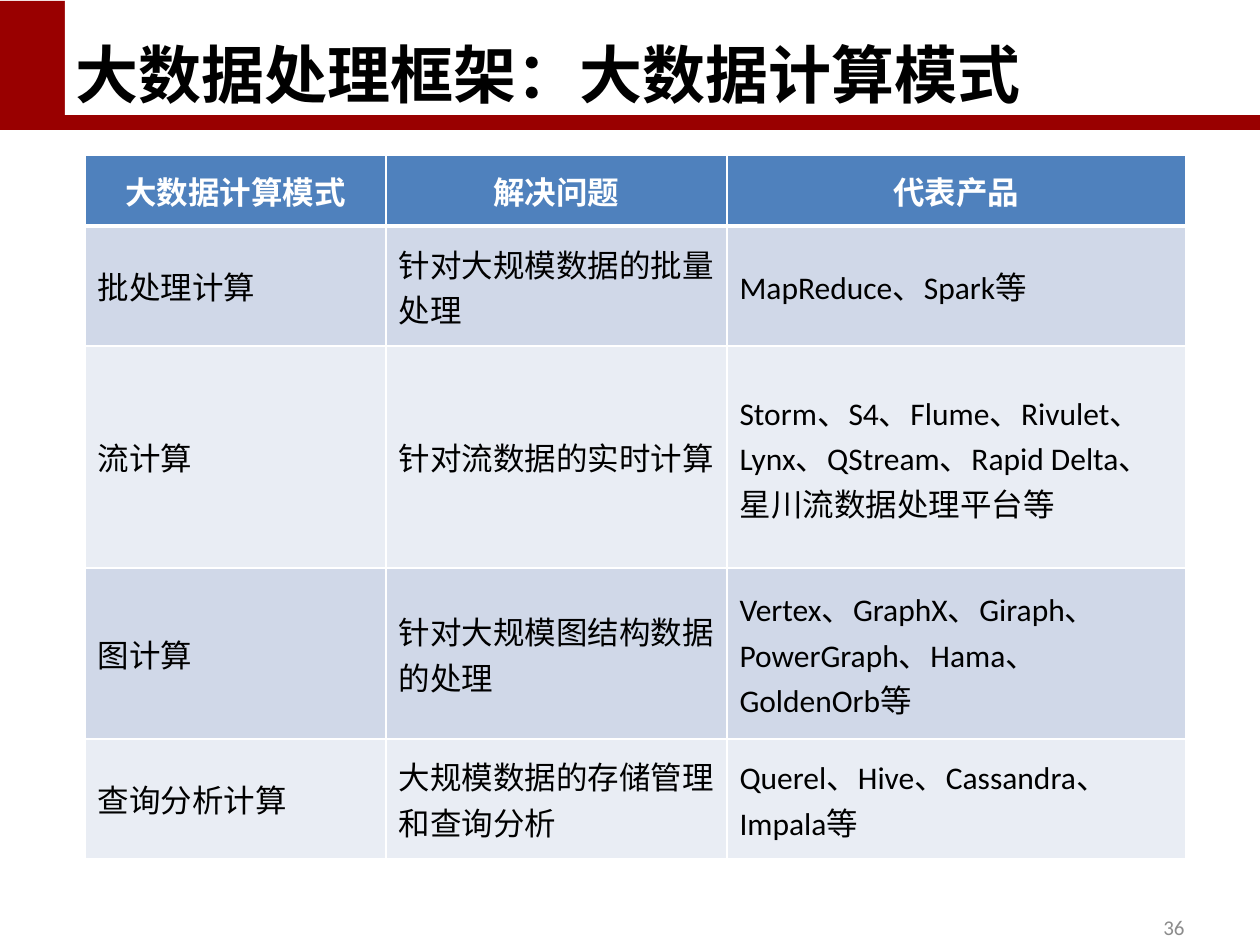
from lxml import etree
from pptx import Presentation
from pptx import util as u
from pptx.dml.color import RGBColor
from pptx.enum import lang, shapes, text
from pptx.oxml.ns import qn

PX = u.Inches(1) / 126
FONT = "Calibri"
RED = RGBColor(0x99, 0x00, 0x00)
WHITE = RGBColor(0xFF, 0xFF, 0xFF)
BLACK = RGBColor(0x00, 0x00, 0x00)
GREY = RGBColor(0x8C, 0x8C, 0x8C)
HEADER_BLUE = RGBColor(0x4F, 0x81, 0xBD)
BANDS = [RGBColor(0xD0, 0xD8, 0xE8), RGBColor(0xE9, 0xED, 0xF4)]

COLUMN_WIDTHS = [301, 341, 459]
ROW_HEIGHTS = [71, 120, 222, 171, 120]
ROWS = [
    ["大数据计算模式", "解决问题", "代表产品"],
    ["批处理计算", "针对大规模数据的批量处理", "MapReduce、Spark等"],
    ["流计算", "针对流数据的实时计算",
     "Storm、S4、Flume、Rivulet、Lynx、QStream、Rapid Delta、星川流数据处理平台等"],
    ["图计算", "针对大规模图结构数据的处理",
     "Vertex、GraphX、Giraph、PowerGraph、Hama、GoldenOrb等"],
    ["查询分析计算", "大规模数据的存储管理和查询分析",
     "Querel、Hive、Cassandra、Impala等"],
]


def px(length):
    return u.Emu(round(length * PX))


def write(frame, words, size, color, bold=False, align=text.PP_ALIGN.LEFT):
    frame.word_wrap = True
    frame.vertical_anchor = text.MSO_ANCHOR.MIDDLE
    para = frame.paragraphs[0]
    para.alignment = align
    span = para.add_run()
    span.text = words
    span.font.name = FONT
    span.font.size = u.Pt(size)
    span.font.bold = bold
    span.font.color.rgb = color
    span.font.language_id = lang.MSO_LANGUAGE_ID.SIMPLIFIED_CHINESE


def add_block(page, left, top, width, height, color):
    block = page.shapes.add_shape(
        shapes.MSO_SHAPE.RECTANGLE, px(left), px(top), px(width), px(height))
    block.shadow.inherit = False
    block.fill.solid()
    block.fill.fore_color.rgb = color
    block.line.fill.background()


def add_banner(page, left, top, width, height):
    """Red corner and rule with the title in the white area between them."""
    corner, rule = 65, 15
    add_block(page, left, top, width, height, RED)
    add_block(page, left + corner, top - 1, width - corner, height - rule + 1, WHITE)
    title = page.shapes.title
    title.left, title.top = px(left + 63), px(top + 19)
    title.width, title.height = px(1134), px(107)
    title.text_frame.auto_size = text.MSO_AUTO_SIZE.NONE
    write(title.text_frame, "大数据处理框架：大数据计算模式", 36, BLACK, bold=True)
    page.shapes._spTree.append(title._element)


def set_borders(cell, widths):
    """Draw white cell borders; widths maps a side (L, R, T, B) to points."""
    properties = cell._tc.get_or_add_tcPr()
    for side, points in widths.items():
        line = etree.SubElement(properties, qn(f"a:ln{side}"), w=str(u.Pt(points)))
        fill = etree.SubElement(line, qn("a:solidFill"))
        etree.SubElement(fill, qn("a:srgbClr"), val=str(WHITE))


def add_mode_table(page, left, top):
    frame = page.shapes.add_table(
        len(ROWS), len(COLUMN_WIDTHS), px(left), px(top),
        px(sum(COLUMN_WIDTHS)), px(sum(ROW_HEIGHTS)))
    table = frame.table
    for column, width in zip(table.columns, COLUMN_WIDTHS):
        column.width = px(width)
    for number, (row, height, words) in enumerate(zip(table.rows, ROW_HEIGHTS, ROWS)):
        row.height = px(height)
        header = number == 0
        for cell, entry in zip(row.cells, words):
            set_borders(cell, {"L": 1, "R": 1, "T": 3 if number == 1 else 1,
                               "B": 3 if header else 1})
            cell.fill.solid()
            cell.fill.fore_color.rgb = HEADER_BLUE if header else BANDS[(number - 1) % 2]
            cell.vertical_anchor = text.MSO_ANCHOR.MIDDLE
            write(cell.text_frame, entry, 18, WHITE if header else BLACK, header,
                  text.PP_ALIGN.CENTER if header else text.PP_ALIGN.LEFT)


def add_page_number(page, left, top, width, height):
    box = page.shapes.add_textbox(px(left), px(top), px(width), px(height))
    write(box.text_frame, "36", 12, GREY, align=text.PP_ALIGN.RIGHT)


def main():
    deck = Presentation()
    deck.slide_width, deck.slide_height = px(1260), px(945)
    page = deck.slides.add_slide(deck.slide_layouts.get_by_name("Title Only"))
    add_banner(page, 0, 1, 1260, 129)
    add_mode_table(page, 85, 155)
    add_page_number(page, 903, 902, 294, 50)
    deck.save("out.pptx")


if __name__ == "__main__":
    main()
